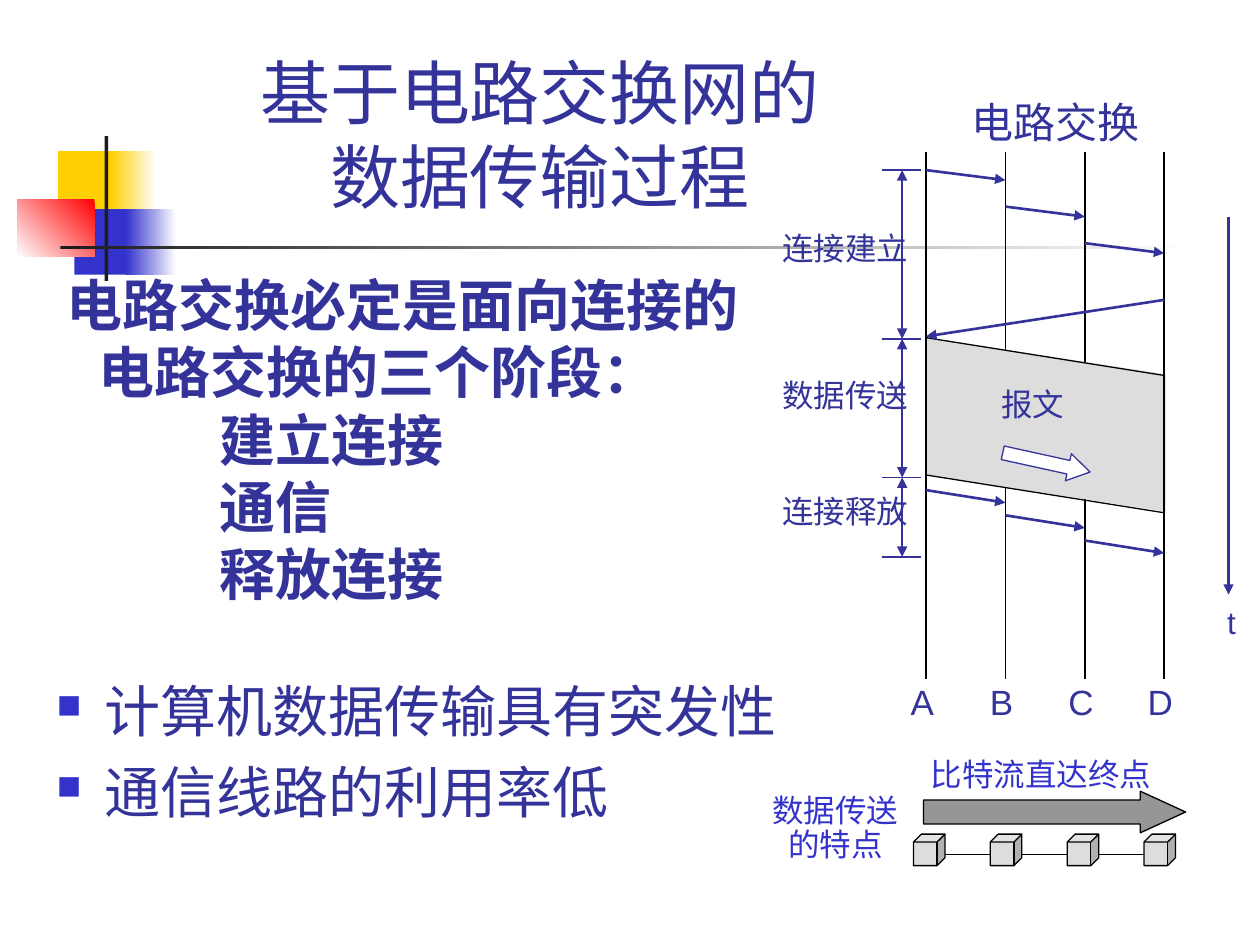
from lxml.etree import SubElement
from pptx import Presentation
from pptx.dml.color import RGBColor
from pptx.enum.shapes import MSO_CONNECTOR, MSO_SHAPE
from pptx.enum.text import MSO_ANCHOR, MSO_AUTO_SIZE, PP_ALIGN
from pptx.oxml.ns import qn
from pptx.util import Inches, Pt

COLORS = {
    "navy": "333399", "blue": "3333CC", "black": "000000", "white": "FFFFFF",
    "yellow": "FFCF01", "red": "FF0000", "ink": "1C1C1C",
    "light": "DDDDDD", "gray": "969696",
}


def color(name):
    return RGBColor.from_string(COLORS[name])


def write_text(text_frame, lines, size=18, font="Arial", fill="navy", bold=False,
               align=PP_ALIGN.LEFT, spacing=None, before=0, indents=None, bullet=None):
    for index, line in enumerate(lines):
        paragraph = text_frame.paragraphs[0] if index == 0 else text_frame.add_paragraph()
        paragraph.text = line
        paragraph.alignment = align
        paragraph.space_before = Pt(before)
        if spacing:
            paragraph.line_spacing = spacing
        paragraph.font.size = Pt(size)
        paragraph.font.name = font
        paragraph.font.bold = bold
        paragraph.font.color.rgb = color(fill)
        properties = paragraph._p.get_or_add_pPr()
        if indents:
            properties.set("marL", str(Inches(indents[index])))
        if bullet:
            properties.set("indent", str(-Inches(indents[index])))
            bullet_color = SubElement(properties, qn("a:buClr"))
            SubElement(bullet_color, qn("a:srgbClr"), val=COLORS["blue"])
            SubElement(properties, qn("a:buSzPct"), val="60000")
            SubElement(properties, qn("a:buChar"), char=bullet)
            properties.append(properties.find(qn("a:defRPr")))


class SlideBuilder:
    def __init__(self, slide, line_color="navy"):
        self.slide = slide
        self.line_color = line_color

    def title(self, text, left, top, width, height):
        shape = self.slide.shapes.title
        shape.left, shape.top = Inches(left), Inches(top)
        shape.width, shape.height = Inches(width), Inches(height)
        shape.text_frame.auto_size = MSO_AUTO_SIZE.NONE
        shape.text_frame.vertical_anchor = MSO_ANCHOR.BOTTOM
        write_text(shape.text_frame, [text], size=40, align=PP_ALIGN.CENTER)

    def text(self, lines, left, top, width, height, wrap=False, **style):
        box = self.slide.shapes.add_textbox(
            Inches(left), Inches(top), Inches(width), Inches(height))
        box.text_frame.word_wrap = wrap
        write_text(box.text_frame, lines, **style)

    def shape(self, kind, left, top, width, height, fill, fade_to=None, angle=0,
              outline=None, rotation=0, adjustments=()):
        shape = self.slide.shapes.add_shape(
            kind, Inches(left), Inches(top), Inches(width), Inches(height))
        shape.shadow.inherit = False
        shape.rotation = rotation
        for index, value in enumerate(adjustments):
            shape.adjustments[index] = value
        if fade_to:
            shape.fill.gradient()
            shape.fill.gradient_angle = angle
            for stop, name in zip(shape.fill.gradient_stops, (fill, fade_to)):
                stop.color.rgb = color(name)
        else:
            shape.fill.solid()
            shape.fill.fore_color.rgb = color(fill)
        if outline:
            shape.line.color.rgb = color(outline)
            shape.line.width = Pt(0.75)
        else:
            shape.line.fill.background()

    def line(self, x1, y1, x2, y2, width=0.75, stroke=None, arrows=()):
        connector = self.slide.shapes.add_connector(
            MSO_CONNECTOR.STRAIGHT, Inches(x1), Inches(y1), Inches(x2), Inches(y2))
        connector.line.color.rgb = color(stroke or self.line_color)
        connector.line.width = Pt(width)
        properties = connector._element.spPr
        for end in arrows:
            SubElement(properties.find(qn("a:ln")), qn(f"a:{end}"), type="triangle")
        SubElement(properties, qn("a:effectLst"))


def draw_decoration(builder):
    rectangle = MSO_SHAPE.RECTANGLE
    builder.shape(rectangle, 0.46, 1.2, 0.48, 0.52, "yellow")
    builder.shape(rectangle, 0.88, 1.2, 0.36, 0.52, "yellow", fade_to="white")
    builder.shape(rectangle, 0.59, 1.66, 0.46, 0.52, "blue")
    builder.shape(rectangle, 1, 1.66, 0.4, 0.52, "blue", fade_to="white")
    builder.shape(rectangle, 0.14, 1.58, 0.61, 0.46, "red", fade_to="white", angle=225)
    builder.shape(rectangle, 0.83, 1.08, 0.03, 1.15, "ink")
    builder.shape(rectangle, 0.48, 1.95, 9, 0.03, "ink", fade_to="white")


def draw_timing_diagram(builder):
    step = 0.63
    nodes = {name: 7.35 + step * index for index, name in enumerate("ABCD")}

    def draw_node_lines(names):
        for name in names:
            builder.line(nodes[name], 1.21, nodes[name], 5.39, width=1, stroke="black")

    builder.text(["电路交换"], 7.61, 0.72, 1.53, 0.5, size=24)
    draw_node_lines("BC")
    builder.shape(MSO_SHAPE.PARALLELOGRAM, 7.61, 2.42, 1.38, 1.9, "light",
                  rotation=90, adjustments=[0.21])
    draw_node_lines("AD")
    for name, x in nodes.items():
        builder.text([name], x - 0.23, 5.35, 0.4, 0.44, size=20, align=PP_ALIGN.CENTER)

    for y in (2.68, 3.77):
        builder.line(nodes["A"], y, nodes["D"], y + 0.3, stroke="black")
    builder.text(["报文"], 7.85, 3.01, 0.7, 0.4)
    builder.shape(MSO_SHAPE.RIGHT_ARROW, 7.95, 3.56, 0.71, 0.22, "white",
                  outline="navy", rotation=12.4, adjustments=[0.5, 0.8])

    for first_y, drop in ((1.35, 0.08), (3.89, 0.1)):
        for hop, x in enumerate(list(nodes.values())[:-1]):
            y = first_y + hop * (0.2 if drop == 0.1 else 0.29)
            builder.line(x, y, x + step, y + drop, width=1.5, arrows=["tailEnd"])
    builder.line(nodes["D"], 2.38, nodes["A"], 2.67, width=1.5, arrows=["tailEnd"])

    boundaries = [1.35, 2.69, 3.79, 4.42]
    for y in boundaries:
        builder.line(7, y, 7.31, y)
    phases = [("连接建立", 1.8), ("数据传送", 2.97), ("连接释放", 3.89)]
    for (label, label_y), start, end in zip(phases, boundaries, boundaries[1:]):
        builder.line(7.16, start, 7.16, end, arrows=["headEnd", "tailEnd"])
        builder.text([label], 6.11, label_y, 1.2, 0.37, spacing=0.9)

    builder.line(9.75, 1.72, 9.75, 4.72, width=1.5, arrows=["tailEnd"])
    builder.text(["t"], 9.64, 4.74, 0.27, 0.4)


def draw_bit_stream(builder):
    builder.line(7.33, 6.78, 9.16, 6.78, stroke="black")
    for index in range(4):
        builder.shape(MSO_SHAPE.CUBE, 7.25 + 0.61 * index, 6.62, 0.25, 0.25, "light",
                      outline="black", adjustments=[0.25])
    builder.shape(MSO_SHAPE.RIGHT_ARROW, 7.33, 6.28, 2.08, 0.33, "gray",
                  outline="black", adjustments=[0.58, 1.09])
    caption = {"font": "Times New Roman", "fill": "blue", "spacing": 0.9}
    builder.text(["数据传送", "的特点"], 6.03, 6.26, 1.2, 0.64,
                 align=PP_ALIGN.CENTER, **caption)
    builder.text(["比特流直达终点"], 7.29, 5.98, 1.95, 0.37, **caption)


def main():
    presentation = Presentation()
    presentation.slide_width, presentation.slide_height = Inches(10), Inches(7.5)
    builder = SlideBuilder(presentation.slides.add_slide(presentation.slide_layouts[5]))
    draw_decoration(builder)
    draw_timing_diagram(builder)
    draw_bit_stream(builder)
    builder.title("基于电路交换网的\v数据传输过程", 0.9, 0.28, 6.77, 1.5)
    builder.text(["电路交换必定是面向连接的", "电路交换的三个阶段：", "建立连接", "通信", "释放连接"],
                 0.43, 2.1, 5.98, 2.77, wrap=True, size=32, bold=True,
                 indents=[0, 0.25, 1.21, 1.21, 1.21])
    builder.text(["计算机数据传输具有突发性", "通信线路的利用率低"], 0.35, 5.32, 5.98, 1.89,
                 wrap=True, size=32, before=8, indents=[0.38, 0.38], bullet="■")
    presentation.save("out.pptx")


if __name__ == "__main__":
    main()
